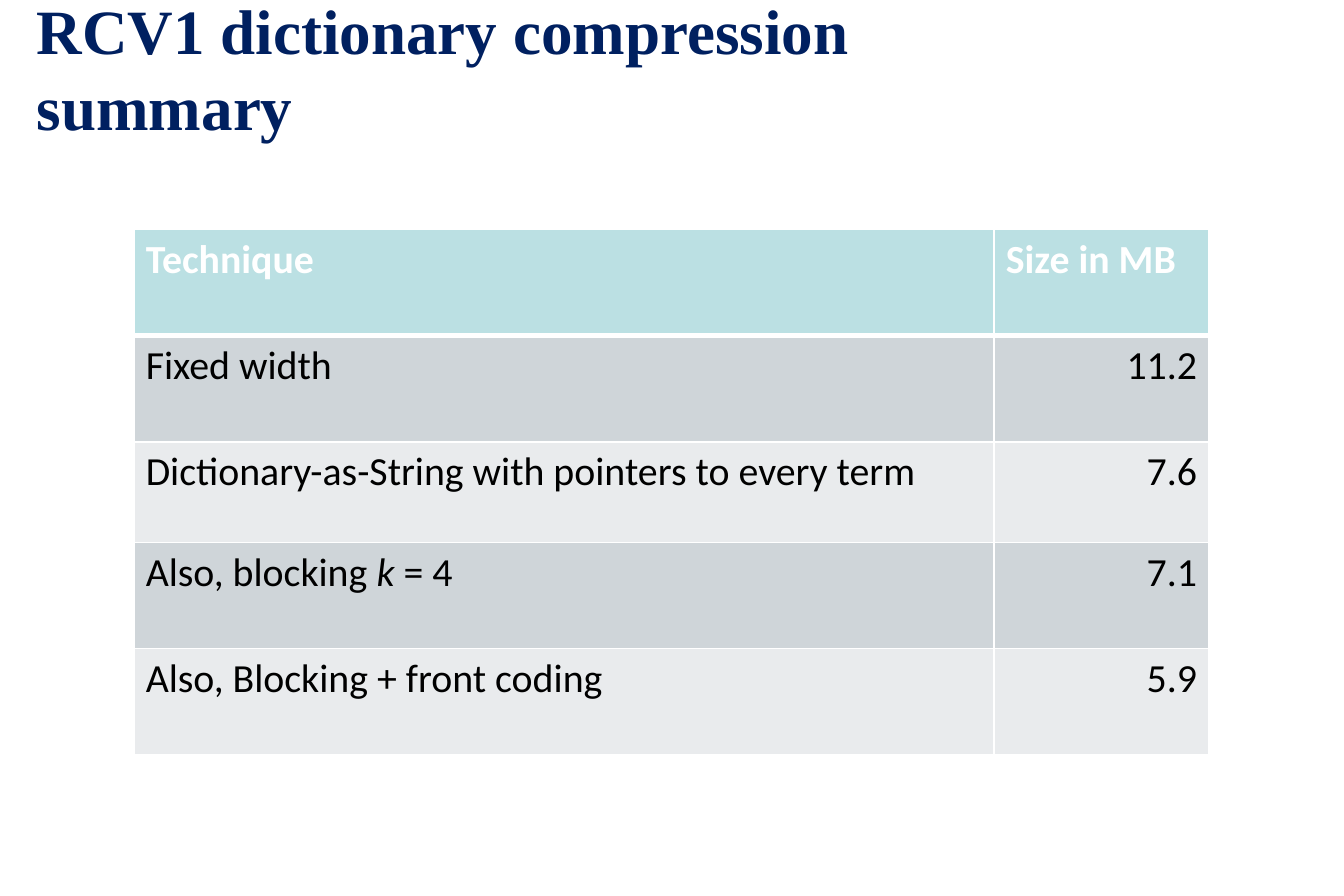
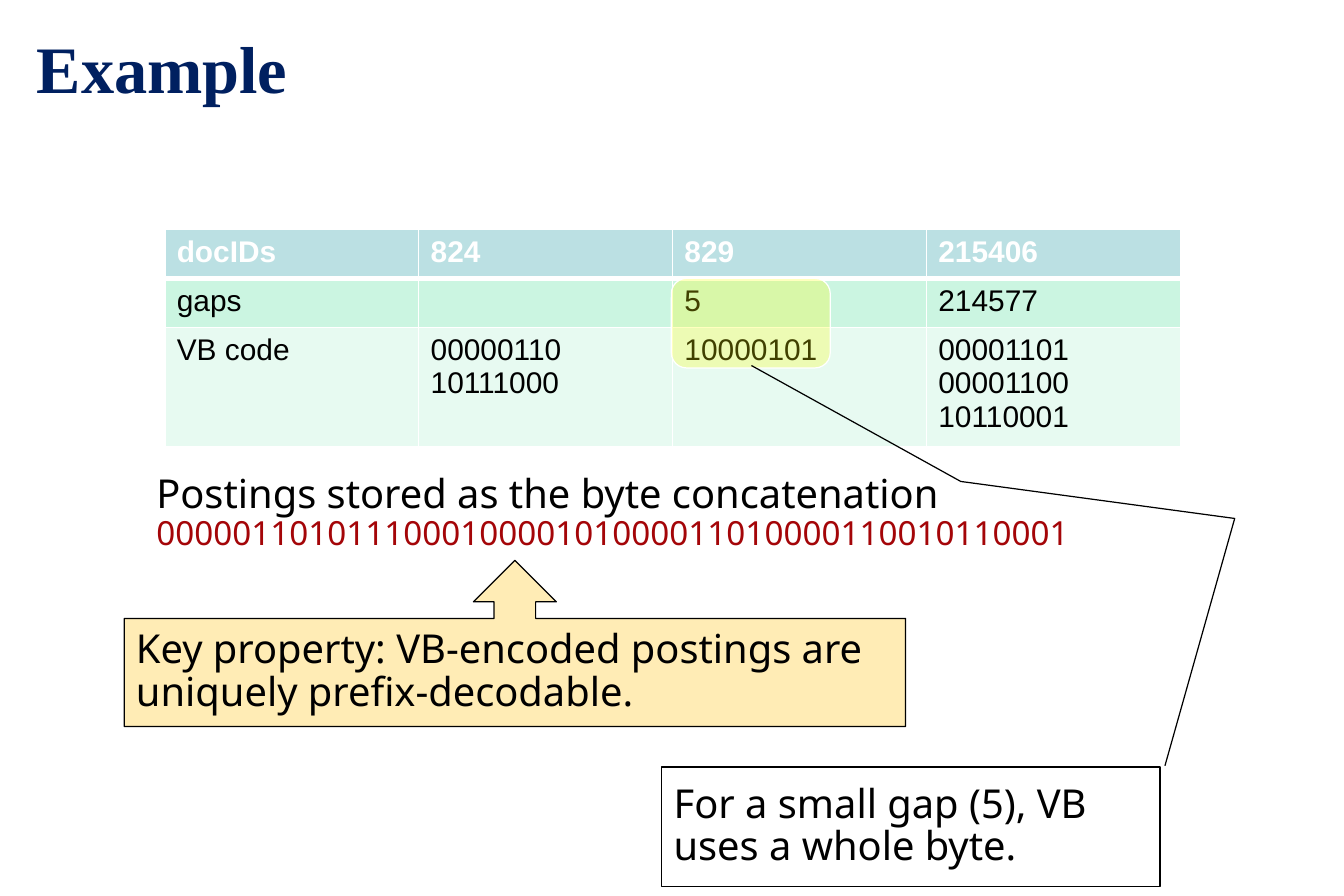
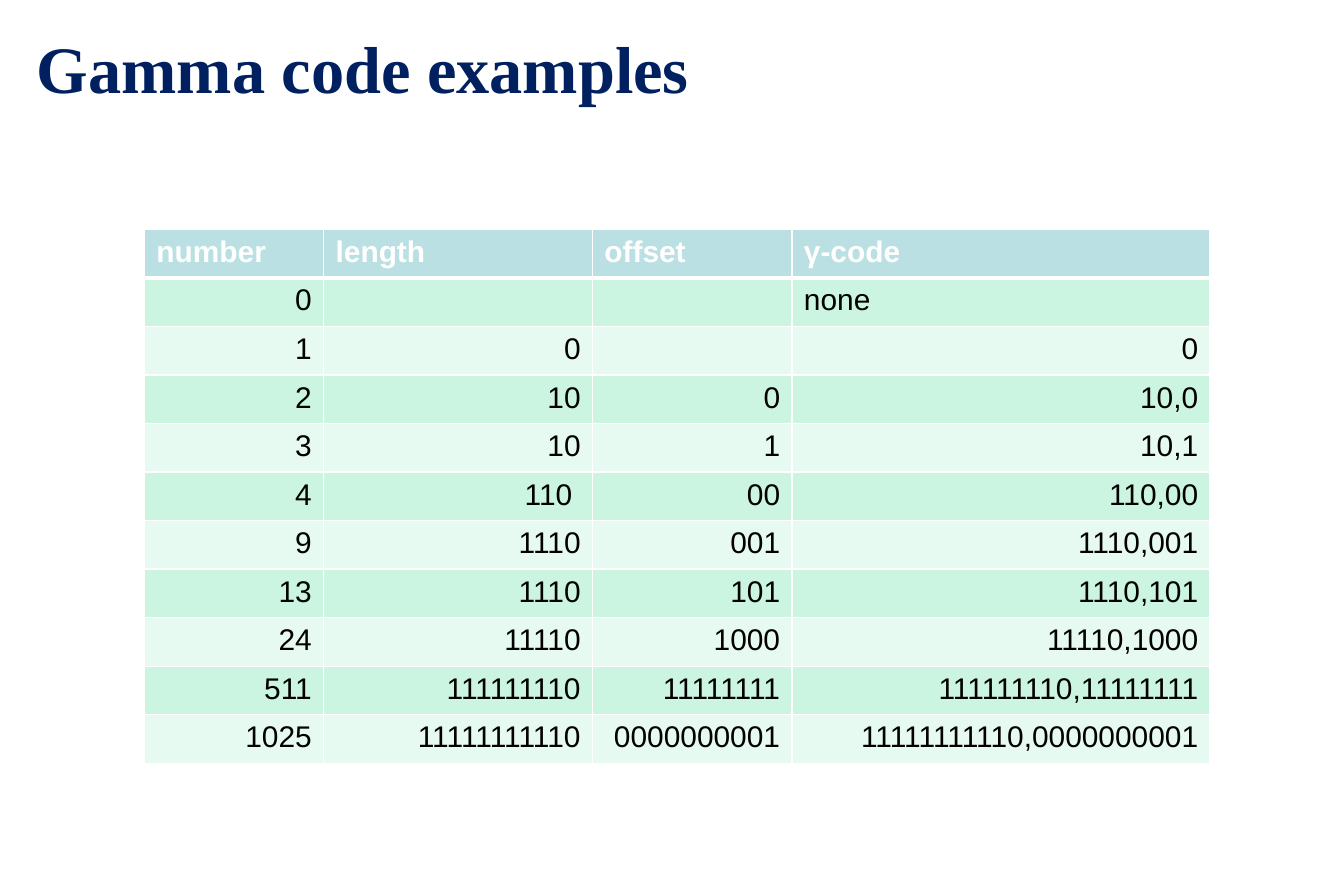
"""Build three slides on index compression."""
from lxml import etree
from pptx import Presentation
from pptx import util as u
from pptx.dml.color import RGBColor
from pptx.enum import shapes, text
from pptx.oxml import ns

NAVY, RED, BLACK, WHITE = "002060", "A40508", "000000", "FFFFFF"
HEAD = "BBE0E3"
GRAY = ("CFD5D9", "E9EBED")
MINT = ("CBF5E1", "E7FAF1")
BODY = "Noto Sans"

SIZES = [
    ("Technique", "Size in MB"),
    ("Fixed width", "11.2"),
    ("Dictionary-as-String with pointers to every term", "7.6"),
    ("Also, blocking *k *= 4", "7.1"),
    ("Also, Blocking + front coding", "5.9"),
]
CODES = [
    ("docIDs", "824", "829", "215406"),
    ("gaps", "", "5", "214577"),
    ("VB code", "00000110 10111000", "10000101", "00001101 00001100 10110001"),
]
GAMMA = [
    ("number", "length", "offset", "γ-code"),
    ("0", "", "", "none"),
    ("1", "0", "", "0"),
    ("2", "10", "0", "10,0"),
    ("3", "10", "1", "10,1"),
    ("4", "110 ", "00", "110,00"),
    ("9", "1110", "001", "1110,001"),
    ("13", "1110", "101", "1110,101"),
    ("24", "11110", "1000", "11110,1000"),
    ("511", "111111110", "11111111", "111111110,11111111"),
    ("1025", "11111111110", "0000000001", "11111111110,0000000001"),
]


def color(code):
    """Return the colour of a hex string."""
    return RGBColor.from_string(code)


def inches(*sizes):
    """Return the sizes as lengths."""
    return [u.Inches(size) for size in sizes]


def style(run, font, size, code, bold=False):
    """Format one run."""
    run.font.name = font
    run.font.size = u.Pt(size)
    run.font.bold = bold
    run.font.color.rgb = color(code)


def write(shape, lines, gap=0.89):
    """Fill a shape with left-aligned lines of (text, size, colour)."""
    frame = shape.text_frame
    frame.word_wrap = True
    frame.text = "\n".join(line[0] for line in lines)
    for para, (_, size, code) in zip(frame.paragraphs, lines):
        para.alignment = text.PP_ALIGN.LEFT
        para.line_spacing = gap
        style(para.runs[0], BODY, size, code)


def title(slide, words, size=40):
    """Add the slide title."""
    box = slide.shapes.add_textbox(*inches(0.21, 0.17, 8.98, 0.78))
    frame = box.text_frame
    frame.word_wrap = True
    frame.vertical_anchor = text.MSO_ANCHOR.MIDDLE
    frame.text = words
    style(frame.paragraphs[0].runs[0], "Times New Roman", size, NAVY, True)


def border(cell, top, base):
    """Draw white cell borders with the given top and bottom widths."""
    props = cell._tc.get_or_add_tcPr()
    for side, width in zip("LRTB", (1, 1, top, base)):
        line = etree.SubElement(props, ns.qn("a:ln" + side), w=str(u.Pt(width)))
        fill = etree.SubElement(line, ns.qn("a:solidFill"))
        etree.SubElement(fill, ns.qn("a:srgbClr"), val=WHITE)


def entry(cell, words, font, size, head, right):
    """Write a cell; parts between asterisks are italic."""
    para = cell.text_frame.paragraphs[0]
    if right and not head and words[:1].isdigit():
        para.alignment = text.PP_ALIGN.RIGHT
    for i, part in enumerate(words.split("*")):
        if part:
            run = para.add_run()
            run.text = part
            style(run, font, size, WHITE if head else BLACK, head)
            if i % 2:
                run.font.italic = True


def grid(slide, data, left, cols, rows, bands, font="Arial", size=18, right=True):
    """Add a banded table with a header row."""
    place = inches(left, 1.92, sum(cols), sum(rows))
    table = slide.shapes.add_table(len(rows), len(cols), *place).table
    for col, width in zip(table.columns, cols):
        col.width = u.Inches(width)
    for r, (row, high) in enumerate(zip(data, rows)):
        table.rows[r].height = u.Inches(high)
        for c, words in enumerate(row):
            cell = table.cell(r, c)
            border(cell, 3 if r == 1 else 1, 3 if r == 0 else 1)
            cell.fill.solid()
            cell.fill.fore_color.rgb = color(bands[(r - 1) % 2] if r else HEAD)
            entry(cell, words, font, size, r == 0, right)


def block(parent, kind, place, adjust, line=BLACK, fill=None, alpha=100):
    """Add a preset shape with an optional see-through fill."""
    shape = parent.add_shape(kind, *inches(*place))
    shape.shadow.inherit = False
    for i, value in enumerate(adjust):
        shape.adjustments[i] = value
    shape.line.color.rgb = color(line)
    shape.line.width = u.Pt(0.75)
    if fill:
        shape.fill.solid()
        shape.fill.fore_color.rgb = color(fill)
        tint = shape._element.spPr.find(ns.qn("a:solidFill"))[0]
        etree.SubElement(tint, ns.qn("a:alpha"), val=str(alpha * 1000))
    else:
        shape.fill.background()
    shape.text_frame.vertical_anchor = text.MSO_ANCHOR.MIDDLE
    return shape


def summary(slide):
    """Build the dictionary size slide."""
    title(slide, "RCV1 dictionary compression summary", 38)
    rows = [0.89, 0.89, 0.84, 0.89, 0.89]
    grid(slide, SIZES, 1.12, [7.2, 1.8], rows, GRAY, "Calibri", 24)


def example(slide):
    """Build the variable byte slide."""
    kinds = shapes.MSO_SHAPE
    title(slide, "Example")
    grid(slide, CODES, 1.38, [2.125] * 4, [0.41, 0.41, 0.96], MINT, right=False)
    note = slide.shapes.add_textbox(*inches(1.21, 3.92, 8.79, 0.84))
    write(note, [
        ("Postings stored as the byte concatenation", 24, BLACK),
        ("000001101011100010000101000011010000110010110001", 20, RED),
    ])
    key = block(slide.shapes, kinds.UP_ARROW_CALLOUT, (1.04, 4.69, 6.54, 1.39),
                (0.25, 0.25, 0.25, 0.65), fill="FFC000", alpha=29)
    write(key, [
        ("Key property: VB-encoded postings are", 24, BLACK),
        ("uniquely prefix-decodable.", 24, BLACK),
    ])
    group = slide.shapes.add_group_shape().shapes
    block(group, kinds.ROUNDED_RECTANGLE, (5.62, 2.33, 1.33, 0.75),
          (0.17,), WHITE, "FFFF00", 25)
    gap = block(group, kinds.LINE_CALLOUT_3, (5.54, 6.42, 4.17, 1),
                (-0.01, 1.01, -2.08, 1.15, -2.39, 0.6, -3.36, 0.18))
    write(gap, [
        ("For a small gap (5), VB", 24, BLACK),
        ("uses a whole byte.", 24, BLACK),
    ])


def gamma(slide):
    """Build the gamma code slide."""
    title(slide, "Gamma code examples")
    high = 4.47 / len(GAMMA)
    grid(slide, GAMMA, 1.21, [1.5, 2.25, 1.67, 3.5], [high] * len(GAMMA), MINT)


def main():
    """Build and save the deck."""
    deck = Presentation()
    deck.slide_width, deck.slide_height = inches(11.25, 7.5)
    for build in (summary, example, gamma):
        build(deck.slides.add_slide(deck.slide_layouts[6]))
    deck.save("out.pptx")


main()
